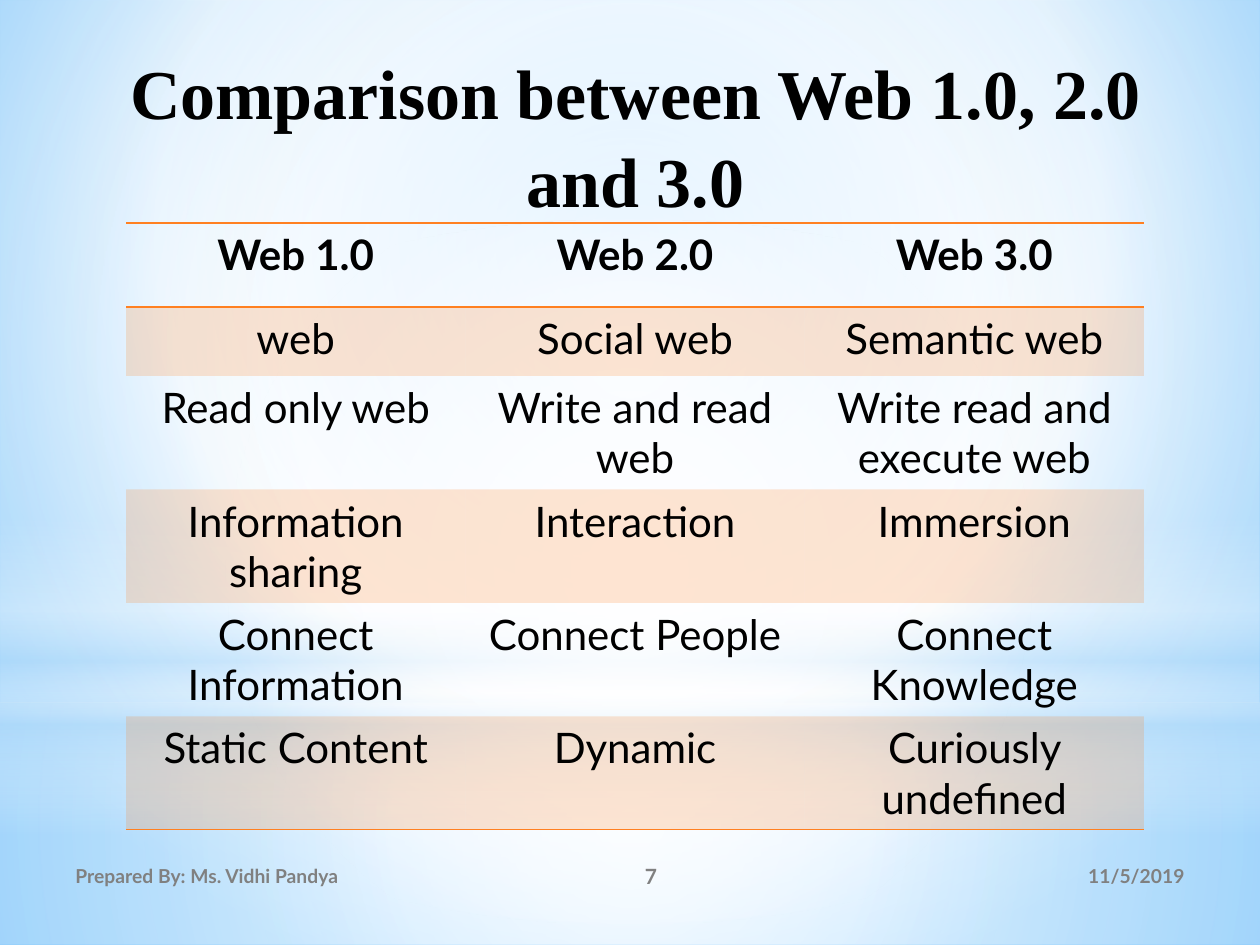
from lxml.etree import SubElement
from pptx import Presentation
from pptx.dml.color import RGBColor
from pptx.enum.shapes import MSO_SHAPE
from pptx.enum.text import MSO_ANCHOR, PP_ALIGN
from pptx.oxml import parse_xml
from pptx.oxml.ns import nsdecls, qn
from pptx.util import Pt

EMU_PER_PX = 914400 / 126
WHITE = RGBColor(0xFF, 0xFF, 0xFF)
BLACK = RGBColor(0x00, 0x00, 0x00)
GRAY = RGBColor(0x80, 0x80, 0x80)
ORANGE = RGBColor(0xFF, 0x80, 0x21)
PALE_BLUE = RGBColor(0xB4, 0xDC, 0xFA)
SKY = RGBColor(0x9E, 0xD5, 0xFF)
DEEP_SKY = RGBColor(0x5B, 0xB9, 0xFF)
BODY_FONT = "Lato"
TITLE_FONT = "Times New Roman"
NO_STYLE = "{2D5ABB26-0587-4C30-8999-92F81FD0307C}"
CENTER = (50, 50, 50, 50)

ROWS = [
    ("Web 1.0", "Web 2.0", "Web 3.0"),
    ("web", "Social web", "Semantic web"),
    ("Read only web", "Write and read web", "Write read and execute web"),
    ("Information sharing", "Interaction", "Immersion"),
    ("Connect Information", "Connect People", "Connect Knowledge"),
    ("Static Content", "Dynamic", "Curiously undefined"),
]
ROW_HEIGHTS = [84, 69, 113, 113, 113, 113]


def px(n):
    return round(n * EMU_PER_PX)


class SlideBuilder:
    def __init__(self, prs):
        self.s = prs.slides.add_slide(prs.slide_layouts[5])

    def put_text(self, tf, text, size, color, bold, align, font=BODY_FONT):
        tf.text = text
        p = tf.paragraphs[0]
        p.alignment = align
        f = p.runs[0].font
        f.name, f.size, f.bold = font, Pt(size), bold
        f.color.rgb = color
        return p

    def gradient(self, parent, stops, focus=None):
        gs = "".join(
            f'<a:gs pos="{pos * 1000}"><a:srgbClr val="{color}">'
            f'<a:alpha val="{alpha * 1000}"/></a:srgbClr></a:gs>'
            for pos, color, alpha in stops)
        if focus:
            sides = " ".join(f'{k}="{v * 1000}"' for k, v in zip("ltrb", focus))
            shade = f'<a:path path="circle"><a:fillToRect {sides}/></a:path>'
        else:
            shade = '<a:lin ang="5400000" scaled="0"/>'
        grad = parse_xml(f'<a:gradFill {nsdecls("a")} rotWithShape="1">'
                         f'<a:gsLst>{gs}</a:gsLst>{shade}</a:gradFill>')
        parent.replace(parent.find(qn("a:solidFill")), grad)

    def background(self, stops, focus):
        self.s.background.fill.solid()
        self.gradient(next(self.s.element.iter(qn("p:bgPr"))), stops, focus)

    def glow(self, kind, x, y, w, h, stops, focus=None):
        sp = self.s.shapes.add_shape(kind, px(x), px(y), px(w), px(h))
        sp.shadow.inherit = False
        sp.line.fill.background()
        sp.fill.solid()
        self.gradient(sp.element.spPr, stops, focus)

    def title(self, text, x, y, w, h):
        sp = self.s.shapes.title
        self.s.shapes.element.append(sp.element)
        sp.left, sp.top, sp.width, sp.height = px(x), px(y), px(w), px(h)
        tf = sp.text_frame
        tf.word_wrap = True
        tf.vertical_anchor = MSO_ANCHOR.MIDDLE
        p = self.put_text(tf, text, 40, BLACK, True, PP_ALIGN.CENTER, TITLE_FONT)
        p.line_spacing = 1.05

    def footer(self, text, x, w, align, size=11):
        tf = self.s.shapes.add_textbox(px(x), px(851), px(w), px(50)).text_frame
        tf.word_wrap = True
        tf.vertical_anchor = MSO_ANCHOR.MIDDLE
        self.put_text(tf, text, size, GRAY, True, align)

    def border(self, cell, index, side):
        cell._tc.get_or_add_tcPr().insert(index, parse_xml(
            f'<a:{side} {nsdecls("a")} w="12700"><a:solidFill>'
            f'<a:srgbClr val="{ORANGE}"/></a:solidFill></a:{side}>'))

    def table(self, rows, heights, x, y, w):
        frame = self.s.shapes.add_table(len(rows), len(rows[0]), px(x), px(y),
                                        px(w), px(sum(heights)))
        next(frame.element.iter(qn("a:tableStyleId"))).text = NO_STYLE
        table = frame.table
        for row, height in zip(table.rows, heights):
            row.height = px(height)
        for i, texts in enumerate(rows):
            for j, text in enumerate(texts):
                cell = table.cell(i, j)
                self.put_text(cell.text_frame, text, 24, BLACK, i == 0, PP_ALIGN.CENTER)
                if i % 2:
                    cell.fill.solid()
                    cell.fill.fore_color.rgb = ORANGE
                    clr = next(cell._tc.tcPr.iter(qn("a:srgbClr")))
                    SubElement(clr, qn("a:alpha")).set("val", "20000")
                else:
                    cell.fill.background()
                if i == 0:
                    self.border(cell, 0, "lnT")
                    self.border(cell, 1, "lnB")
                elif i == len(rows) - 1:
                    self.border(cell, 0, "lnB")


def main():
    prs = Presentation()
    prs.slide_width, prs.slide_height = px(1260), px(945)
    b = SlideBuilder(prs)
    b.background([(0, SKY, 100), (60, WHITE, 100), (100, DEEP_SKY, 100)],
                 (20, 10, 20, 60))
    b.glow(MSO_SHAPE.RECTANGLE, 0, 703, 1260, 242,
           [(0, WHITE, 91), (37, WHITE, 76), (100, PALE_BLUE, 79)], CENTER)
    b.glow(MSO_SHAPE.RECTANGLE, 0, 0, 1260, 703,
           [(0, WHITE, 89), (48, WHITE, 62), (100, PALE_BLUE, 79)], CENTER)
    b.glow(MSO_SHAPE.RECTANGLE, 0, 519, 1260, 315,
           [(0, WHITE, 0), (29, WHITE, 30), (45, PALE_BLUE, 40),
            (55, WHITE, 26), (65, PALE_BLUE, 60), (100, WHITE, 0)])
    b.glow(MSO_SHAPE.OVAL, 0, 220, 1260, 703,
           [(0, WHITE, 100), (56, WHITE, 0)], CENTER)
    b.footer("11/5/2019", 851, 346, PP_ALIGN.RIGHT)
    b.footer("Prepared By: Ms. Vidhi Pandya", 63, 462, PP_ALIGN.LEFT)
    b.footer("7", 525, 252, PP_ALIGN.CENTER, 12)
    b.title("Comparison between Web 1.0, 2.0 and 3.0", 53, 42, 1165, 183)
    b.table(ROWS, ROW_HEIGHTS, 126, 223, 1018)
    prs.save("out.pptx")


if __name__ == "__main__":
    main()
